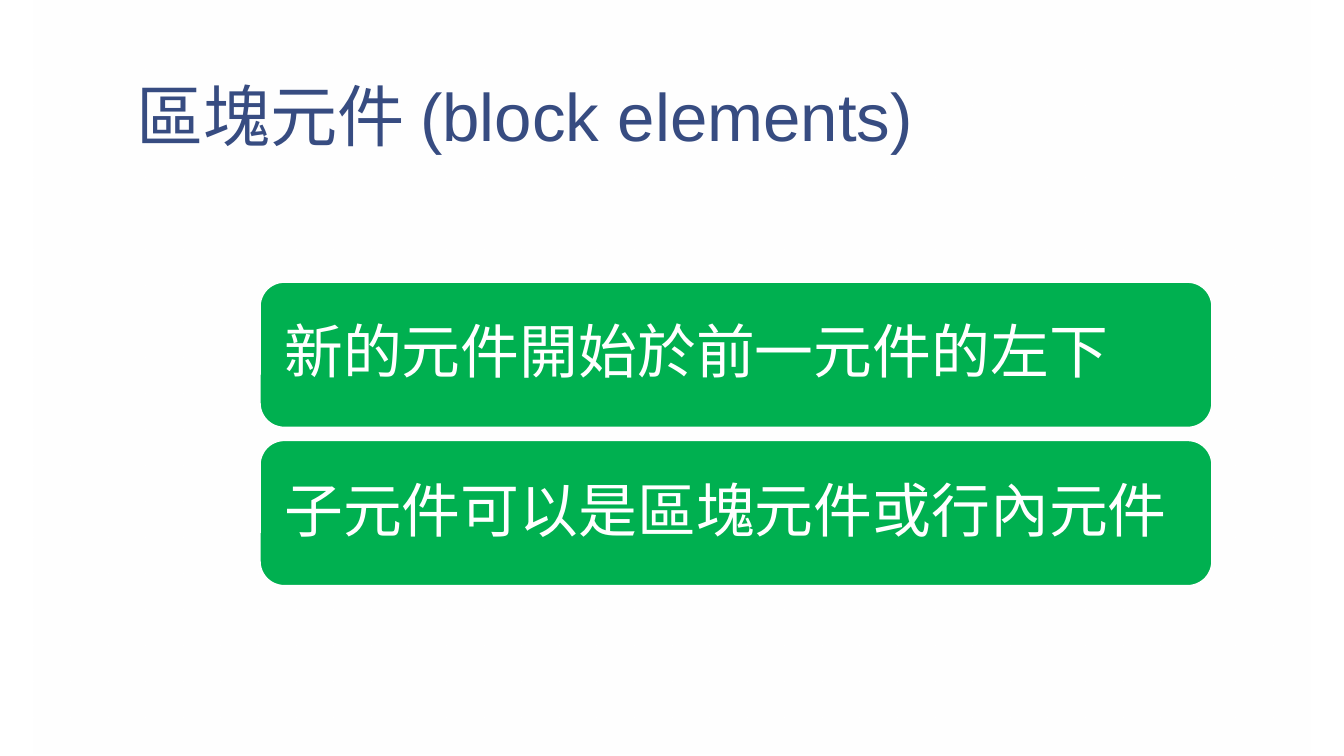
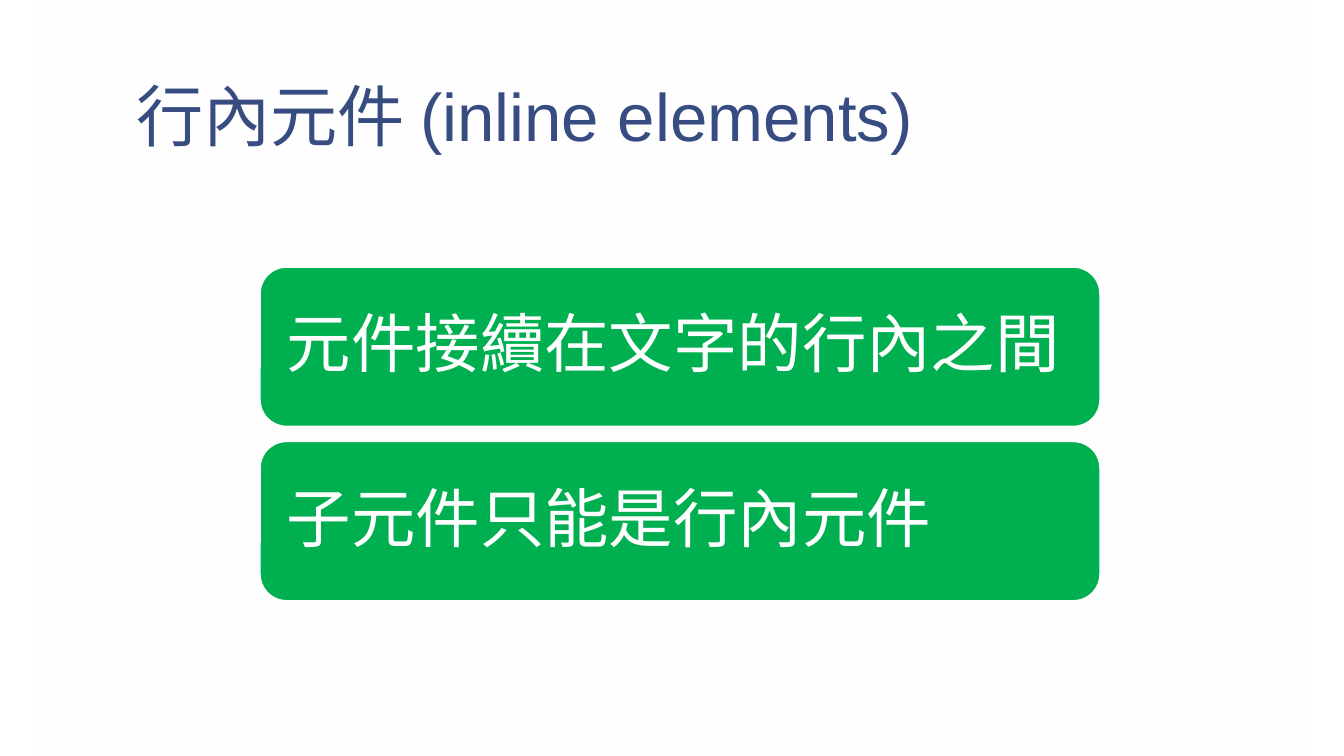
"""Build two slides on block and inline elements."""
from dataclasses import dataclass

from lxml.etree import SubElement
from pptx import Presentation
from pptx.dml.color import RGBColor
from pptx.enum.shapes import MSO_SHAPE
from pptx.enum.text import MSO_ANCHOR, MSO_AUTO_SIZE, PP_ALIGN
from pptx.oxml.ns import qn
from pptx.presentation import Presentation as Deck
from pptx.slide import Slide
from pptx.text.text import TextFrame
from pptx.util import Inches, Pt

WHITE = "FFFFFF"
NAVY = "374C81"
GREEN = "00B050"
TITLE_FONT = "Arial"
CARD_FONT = "League Spartan"
TITLE_ONLY_LAYOUT = 5
CARD_LEFT = 2.58


@dataclass(frozen=True)
class Topic:
    """One slide: its title, its card texts and the size of its cards."""

    title: str
    cards: tuple[str, ...]
    top: float
    width: float
    height: float
    pitch: float
    inset: float
    size: int


TOPICS = (
    Topic("區塊元件 (block elements)",
          ("新的元件開始於前一元件的左下", "子元件可以是區塊元件或行內元件"),
          top=2.8, width=9.44, height=1.44, pitch=1.57, inset=0.17, size=42),
    Topic("行內元件 (inline elements)",
          ("元件接續在文字的行內之間", "子元件只能是行內元件"),
          top=2.65, width=8.33, height=1.58, pitch=1.73, inset=0.19, size=46),
)


def color(code: str) -> RGBColor:
    """Turn a hex string into a colour."""
    return RGBColor.from_string(code)


def write(frame: TextFrame, text: str, *, font: str, size: int, ink: str,
          anchor: MSO_ANCHOR, spacing: float, side: float, edge: float) -> None:
    """Write one left-aligned paragraph with its format into a frame."""
    frame.word_wrap = True
    frame.auto_size = MSO_AUTO_SIZE.NONE
    frame.vertical_anchor = anchor
    frame.margin_left = frame.margin_right = Inches(side)
    frame.margin_top = frame.margin_bottom = Inches(edge)
    para = frame.paragraphs[0]
    para.alignment = PP_ALIGN.LEFT
    para.line_spacing = spacing
    span = para.add_run()
    span.text = text
    span.font.name = font
    span.font.size = Pt(size)
    span.font.color.rgb = color(ink)


def add_title(page: Slide, text: str) -> None:
    """Place and fill the title placeholder."""
    title = page.shapes.title
    title.left, title.top = Inches(1.22), Inches(0.08)
    title.width, title.height = Inches(11.11), Inches(1.53)
    write(title.text_frame, text, font=TITLE_FONT, size=48, ink=NAVY,
          anchor=MSO_ANCHOR.BOTTOM, spacing=0.85, side=0.13, edge=0.07)


def add_card(page: Slide, topic: Topic, index: int) -> None:
    """Draw one rounded green card of a topic."""
    card = page.shapes.add_shape(
        MSO_SHAPE.ROUNDED_RECTANGLE, Inches(CARD_LEFT),
        Inches(topic.top + index * topic.pitch),
        Inches(topic.width), Inches(topic.height))
    card.shadow.inherit = False
    card.fill.solid()
    card.fill.fore_color.rgb = color(GREEN)
    card.line.color.rgb = color(WHITE)
    card.line.width = Pt(1)
    write(card.text_frame, topic.cards[index], font=CARD_FONT, size=topic.size,
          ink=WHITE, anchor=MSO_ANCHOR.MIDDLE, spacing=0.9,
          side=topic.inset, edge=topic.inset)


def add_topic(deck: Deck, topic: Topic) -> None:
    """Add the slide of one topic."""
    page = deck.slides.add_slide(deck.slide_layouts[TITLE_ONLY_LAYOUT])
    page.background.fill.solid()
    page.background.fill.fore_color.rgb = color(WHITE)
    add_title(page, topic.title)
    for index in range(len(topic.cards)):
        add_card(page, topic, index)


def share_panel(page: Slide) -> None:
    """Draw the white gradient panel and move it to the back of the layout."""
    panel = page.shapes.add_shape(MSO_SHAPE.RECTANGLE, Inches(0.33),
                                  Inches(-0.02), Inches(12.67), Inches(7.5))
    panel.shadow.inherit = False
    panel.line.fill.background()
    panel.fill.gradient()
    panel.fill.gradient_angle = 230
    for stop in panel.fill.gradient_stops:
        stop.color.rgb = color(WHITE)
    last_color = panel.element.xpath(".//a:gs/a:srgbClr")[-1]
    SubElement(last_color, qn("a:alpha")).set("val", "55000")
    panel.element.xpath(".//p:cNvPr")[0].set("id", "20")
    page.slide_layout.shapes.element.insert(2, panel.element)


def main() -> None:
    """Build and save the deck."""
    deck = Presentation()
    deck.slide_width, deck.slide_height = Inches(13.33), Inches(7.5)
    for topic in TOPICS:
        add_topic(deck, topic)
    share_panel(deck.slides[0])
    deck.save("out.pptx")


main()
